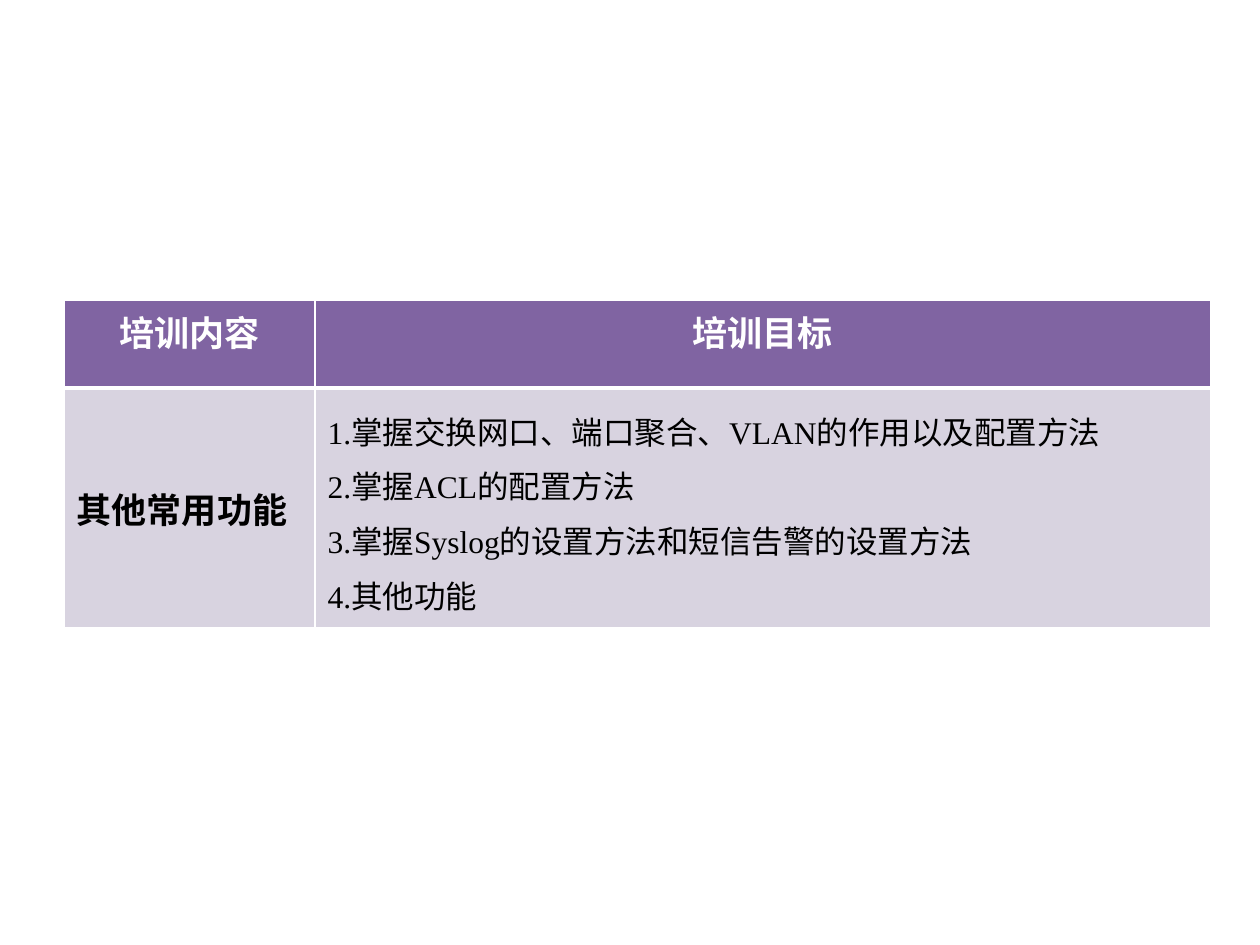
from pptx import Presentation
from pptx.dml.color import RGBColor as RGB
from pptx.enum.text import MSO_ANCHOR as Anchor, PP_ALIGN as Align
from pptx.oxml import parse_xml
from pptx.oxml.ns import nsdecls
from pptx.util import Inches, Pt


def hue(code):
    return RGB.from_string(code)


def edge(cell, sides):
    props = cell._tc.get_or_add_tcPr()
    for i, (side, width) in enumerate(sides.items()):
        props.insert(i, parse_xml(
            f'<a:ln{side} {nsdecls("a")} w="{Pt(width)}"><a:solidFill>'
            f'<a:srgbClr val="FFFFFF"/></a:solidFill></a:ln{side}>'))


deck = Presentation()
deck.slide_width, deck.slide_height = Inches(10), Inches(7.5)
slide = deck.slides.add_slide(deck.slide_layouts[6])

rows = [
    [["培训内容"], ["培训目标"]],
    [["其他常用功能"],
     ["1.掌握交换网口、端口聚合、VLAN的作用以及配置方法",
      "2.掌握ACL的配置方法",
      "3.掌握Syslog的设置方法和短信告警的设置方法",
      "4.其他功能"]],
]
table = slide.shapes.add_table(
    2, 2, Inches(0.51), Inches(2.38), Inches(9.1), Inches(2.6)).table
for col, width in zip(table.columns, (1.99, 7.11)):
    col.width = Inches(width)
for row, height in zip(table.rows, (0.7, 1.9)):
    row.height = Inches(height)

for r, row in enumerate(rows):
    for c, lines in enumerate(row):
        head, goal = r == 0, r == 1 and c == 1
        cell = table.cell(r, c)
        cell.fill.solid()
        cell.fill.fore_color.rgb = hue("8064A2" if head else "D8D3E0")
        cell.vertical_anchor = Anchor.TOP if head else Anchor.MIDDLE
        edge(cell, {"L": 1, "R": 1, "T": 1 if head else 3, "B": 3 if head else 1})
        cell.text = "\n".join(lines)
        for para in cell.text_frame.paragraphs:
            para.alignment = Align.CENTER if head else Align.LEFT
            if goal:
                para.line_spacing = 1.2
            else:
                para.space_before = Pt(4 if head else 18)
            font = para.font
            font.name = "Times New Roman"
            font.size = Pt(18 if goal else 20)
            font.bold = not goal
            font.color.rgb = hue("FFFFFF" if head else "000000")

deck.save("out.pptx")
